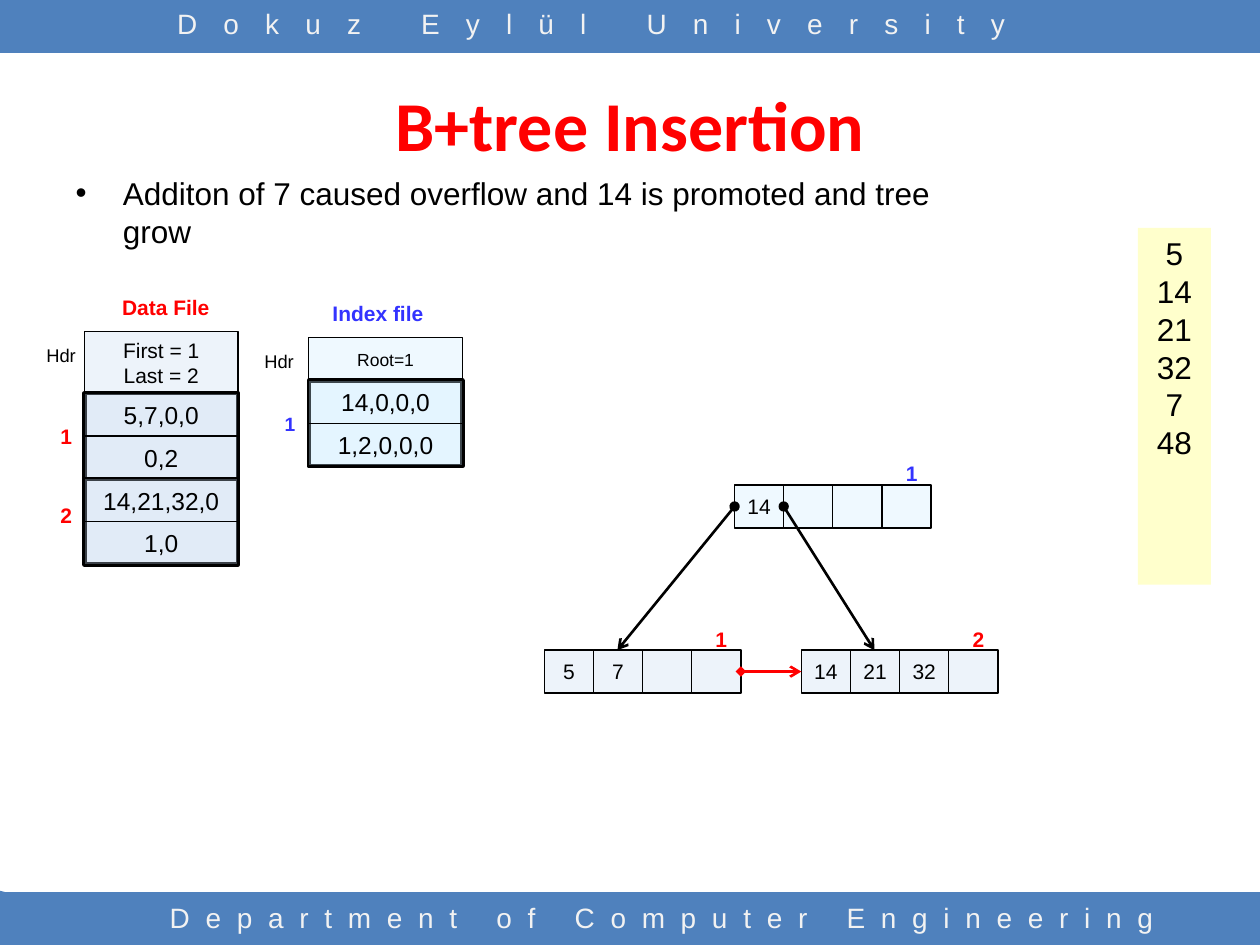
from lxml.etree import SubElement
from pptx import Presentation
from pptx.dml.color import RGBColor
from pptx.enum.shapes import MSO_CONNECTOR, MSO_SHAPE
from pptx.enum.text import MSO_ANCHOR, PP_ALIGN
from pptx.oxml.ns import qn
from pptx.util import Inches, Pt

HUES = {"band": "4F81BD", "pale": "F2F2F2", "red": "FF0000", "blue": "3333FF",
        "black": "000000", "note": "FFFFCC", "data": "C6D9F1", "index": "CCECFF"}
WIDE, TALL = 0.39, 0.34


def tint(name):
    """Return the named colour."""
    return RGBColor.from_string(HUES[name])


def write(frame, lines, size=12, hue="black", font="Arial", bold=False,
          align=PP_ALIGN.CENTER, anchor=MSO_ANCHOR.TOP, wrap=True, space=0):
    """Fill a text frame, one paragraph a line."""
    frame.word_wrap, frame.vertical_anchor = wrap, anchor
    for i, line in enumerate(lines.split("\n")):
        para = frame.add_paragraph() if i else frame.paragraphs[0]
        para.alignment = align
        run = para.add_run()
        run.text = line
        run.font.size, run.font.name, run.font.bold = Pt(size), font, bold
        run.font.color.rgb = tint(hue)
        if space:
            run._r.get_or_add_rPr().set("spc", str(space * 100))


def label(shapes, lines, left, top, width, height, **fmt):
    """Add a text box."""
    box = shapes.add_textbox(Inches(left), Inches(top), Inches(width), Inches(height))
    write(box.text_frame, lines, **fmt)


def paint(shape, hue, alpha=None, line=None):
    """Set fill, opacity and outline of a shape."""
    shape.shadow.inherit = False
    shape.fill.solid()
    shape.fill.fore_color.rgb = tint(hue)
    if alpha:
        clr = shape.fill._xPr.find(qn("a:solidFill"))[0]
        SubElement(clr, qn("a:alpha")).set("val", str(alpha * 1000))
    if line:
        shape.line.color.rgb = tint("black")
        shape.line.width = Pt(line)
    else:
        shape.line.fill.background()


def rect(shapes, left, top, width, height, hue, alpha=None, line=None):
    """Add a painted rectangle."""
    shape = shapes.add_shape(MSO_SHAPE.RECTANGLE, Inches(left), Inches(top),
                             Inches(width), Inches(height))
    paint(shape, hue, alpha, line)
    return shape


def cell(shapes, left, top, width, height, hue, words="", size=12):
    """Add a thin bordered cell with centred words."""
    box = rect(shapes, left, top, width, height, hue, 30, 0.75)
    if words:
        write(box.text_frame, words, size=size, anchor=MSO_ANCHOR.MIDDLE, wrap=False)


def bands(shapes):
    """Draw the top and bottom bands."""
    for top in (0, 7.08):
        rect(shapes, 0, top, 10, 0.42, "band")
    pen = shapes.build_freeform(Inches(0.04), Inches(7.08))
    pen.add_line_segments([(Inches(x), Inches(y)) for x, y in
                           ((0.46, 7.5), (0, 7.5), (0, 7.07))])
    paint(pen.convert_to_shape(), "band")
    label(shapes, "Department of Computer Engineering", 0.92, 7.1, 8.67, 0.4,
          size=16, hue="pale", space=9)
    label(shapes, "Dokuz Eylül University", 0.65, 0, 8.09, 0.42,
          size=16, hue="pale", space=15)


def place(holder, left, top, width, height):
    """Move a placeholder."""
    holder.left, holder.top = Inches(left), Inches(top)
    holder.width, holder.height = Inches(width), Inches(height)
    return holder.text_frame


def file(slide, left, top, name, hue, ink, head, high, size, shift, edge, blocks):
    """Draw a file as a header above numbered blocks of two rows."""
    shapes = slide.shapes.add_group_shape().shapes
    wide = 1.22
    label(shapes, name, left + shift, top - 0.34, 0.92, 0.3, hue=ink, bold=True,
          align=PP_ALIGN.LEFT, wrap=False)
    label(shapes, "Hdr", left - edge, top + 0.05, 0.49, 0.28, size=10.5)
    cell(shapes, left, top, wide, high, hue, head, size)
    for i, (rows, drop, big) in enumerate(blocks):
        y = top + high + i * 2 * TALL
        rect(shapes, left, y, wide, 2 * TALL, hue, 30, 2.5)
        for j, row in enumerate(rows):
            cell(shapes, left, y + j * TALL, wide, TALL, hue, row, 14)
        label(shapes, str(i + 1), left - 0.29, y + drop, 0.29, 0.3, size=big,
              hue=ink, bold=True, align=PP_ALIGN.LEFT)


def node(slide, left, top, keys, mark, hue, ink):
    """Draw a tree node of four cells with its number above."""
    shapes = slide.shapes.add_group_shape().shapes
    for i, key in enumerate(keys):
        cell(shapes, left + i * WIDE, top, WIDE, TALL, hue, key)
    label(shapes, mark, left + 1.26, top - 0.24, 0.29, 0.3, hue=ink, bold=True,
          align=PP_ALIGN.LEFT, wrap=False)


def arrow(slide, start, end, hue, head):
    """Link two points with an arrow."""
    link = slide.shapes.add_connector(MSO_CONNECTOR.STRAIGHT,
                                      *(Inches(v) for v in start + end))
    link.line.color.rgb, link.line.width = tint(hue), Pt(1.5)
    line = link.line._get_or_add_ln()
    SubElement(line, qn("a:headEnd")).set("type", head)
    SubElement(line, qn("a:tailEnd")).set("type", "arrow")
    SubElement(link._element.spPr, qn("a:effectLst"))


def tree(slide, left, top):
    """Draw the root, its two leaves and their links."""
    root, next, low = left + 1.51, left + 2.04, top + 1.31
    node(slide, left, low, ["5", "7", "", ""], "1", "data", "red")
    node(slide, left + 2.04, low, ["14", "21", "32", ""], "2", "data", "red")
    node(slide, root, top, ["14", "", "", ""], "1", "index", "blue")
    mid = TALL / 2
    arrow(slide, (left + 4 * WIDE, low + mid), (next, low + mid), "red", "diamond")
    arrow(slide, (root, top + mid), (left + 0.58, low), "black", "oval")
    arrow(slide, (root + WIDE, top + mid), (next + 0.58, low), "black", "oval")


def main():
    """Build and save the slide."""
    deck = Presentation()
    deck.slide_width, deck.slide_height = Inches(10), Inches(7.5)
    slide = deck.slides.add_slide(deck.slide_layouts[1])
    bands(slide.shapes)
    write(place(slide.shapes.title, 0.5, 0.41, 9, 1.14), "B+tree Insertion", size=40,
          hue="red", font="Calibri", bold=True, anchor=MSO_ANCHOR.MIDDLE)
    write(place(slide.placeholders[1], 0.5, 1.33, 7.5, 0.83),
          "Additon of 7 caused overflow and 14 is promoted and tree grow",
          size=18, align=PP_ALIGN.LEFT)
    note = rect(slide.shapes, 9.03, 1.81, 0.58, 2.83, "note")
    write(note.text_frame, "5\n14\n21\n32\n7\n48", size=18)
    file(slide, 0.67, 2.63, "Data File", "data", "red", "First = 1\nLast = 2",
         0.49, 12, 0.2, 0.43,
         [(("5,7,0,0", "0,2"), 0.19, 12), (("14,21,32,0", "1,0"), 0.14, 12)])
    file(slide, 2.45, 2.68, "Index file", "index", "blue", "Root=1",
         TALL, 10, 0.09, 0.48, [(("14,0,0,0", "1,2,0,0,0"), 0.2, 11)])
    tree(slide, 4.32, 3.85)
    deck.save("out.pptx")


main()
